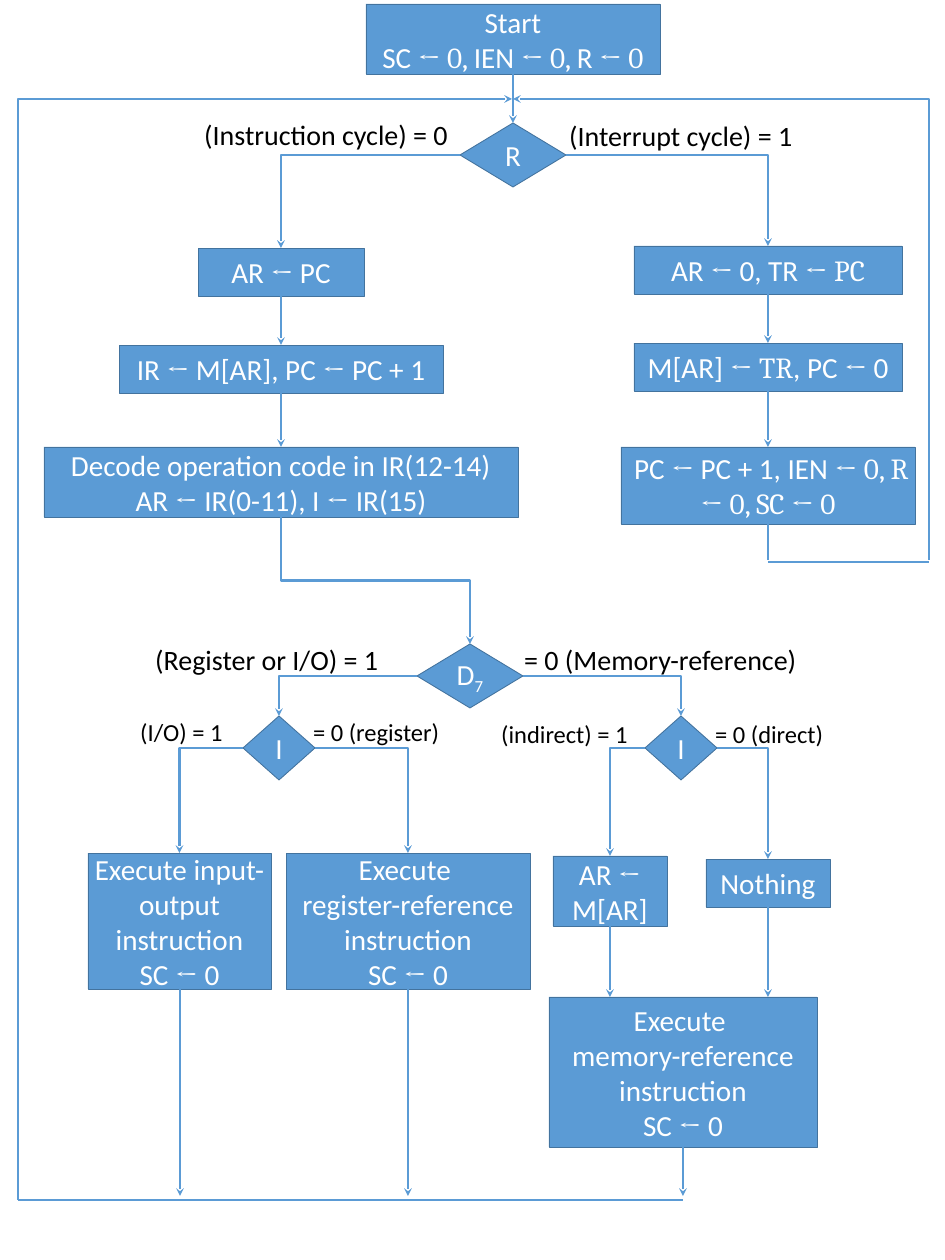
from lxml import etree
from pptx import Presentation
from pptx.dml.color import RGBColor
from pptx.enum.shapes import MSO_CONNECTOR, MSO_SHAPE
from pptx.enum.text import MSO_ANCHOR, MSO_AUTO_SIZE, PP_ALIGN
from pptx.oxml.ns import qn
from pptx.util import Emu, Pt

EMU_PER_PX = 914400 / 63
SLIDE_WIDTH, SLIDE_HEIGHT = 945, 1260

BLUE = RGBColor(0x5B, 0x9B, 0xD5)
DARK_BLUE = RGBColor(0x43, 0x73, 0x9E)
WHITE = RGBColor(0xFF, 0xFF, 0xFF)
BLACK = RGBColor(0x00, 0x00, 0x00)

BODY_FONT, SYMBOL_FONT = "Calibri", "Cambria"
NODE_SIZE = 33.3

BOX, DIAMOND = MSO_SHAPE.RECTANGLE, MSO_SHAPE.DIAMOND
STRAIGHT, ELBOW = MSO_CONNECTOR.STRAIGHT, MSO_CONNECTOR.ELBOW
CENTER, MIDDLE = PP_ALIGN.CENTER, MSO_ANCHOR.MIDDLE
GROW = MSO_AUTO_SIZE.SHAPE_TO_FIT_TEXT

# Connection sites of boxes and diamonds
TOP, LEFT, BOTTOM, RIGHT = range(4)

# Text between bars is set in the symbol font.
BOXES = {
    "start": (366, 4, 294, 70, ["Start", "SC |← 0, |IEN |← 0, |R |← 0"]),
    "address": (198, 248, 166, 48, ["AR |← |PC"]),
    "fetch": (119, 345, 324, 48, ["IR |← |M[AR], PC |←| PC + 1"]),
    "decode": (44, 447, 474, 70,
               ["Decode operation code in IR(12-14)",
                "AR |←| IR(0-11), I |←| IR(15)"]),
    "save": (634, 246, 268, 48, ["AR |← |0, TR |← PC"]),
    "store": (634, 343, 268, 48, ["M[AR] |← TR|, PC |← |0"]),
    "reset": (621, 447, 294, 77,
              [" PC |← |PC + 1, IEN |← 0, R ← 0, SC ← 0"]),
    "io": (88, 853, 183, 136,
           ["Execute input-output instruction", "SC |←| 0"]),
    "register": (286, 853, 244, 136,
                 ["Execute ", "register-reference instruction", "SC |←| 0"]),
    "indirect": (553, 856, 114, 70, ["AR |← |M[AR]"]),
    "direct": (706, 859, 124, 48, ["Nothing"]),
    "memory": (549, 997, 268, 150,
               ["Execute ", "memory-reference instruction", "SC |←| 0"]),
}
DIAMONDS = {
    "interrupt test": (460, 123, 106, 64, ["R"]),
    "opcode test": (417, 644, 106, 64, ["D"]),
    "io test": (243, 716, 72, 64, ["I"]),
    "indirect test": (645, 716, 72, 64, ["I"]),
}
DOWN_ARROWS = [("start", "interrupt test"), ("address", "fetch"),
               ("fetch", "decode"), ("save", "store"), ("store", "reset")]
BRANCHES = [("interrupt test", "address", "save"),
            ("opcode test", "io test", "indirect test"),
            ("io test", "io", "register"),
            ("indirect test", "indirect", "direct")]
LABELS = [
    (149, 639, 238, 40, 32, "(Register or I/O) = 1"),
    (518, 639, 288, 40, 32, "= 0 (Memory-reference)"),
    (134, 714, 96, 36, 28, "(I/O) = 1"),
    (307, 714, 140, 36, 28, "= 0 (register)"),
    (495, 716, 140, 36, 28, "(indirect) = 1"),
    (709, 716, 122, 36, 28, "= 0 (direct)"),
    (198, 114, 260, 40, 32, "(Instruction cycle) = 0"),
    (563, 115, 238, 40, 32, "(Interrupt cycle) = 1"),
]
DROPS = [(610, 926, 997), (768, 907, 997),
         (180, 989, 1196), (408, 989, 1196), (683, 1147, 1196)]

LOOP_TOP, LOOP_BOTTOM = 99, 1200
LOOP_LEFT, LOOP_RIGHT = 18, 929
RETURN_X, RETURN_Y = 768, 562
ENTRY_X = 513


def px(length):
    return Emu(round(length * EMU_PER_PX))


def style_paragraph(paragraph, size, color):
    paragraph.font.name = BODY_FONT
    paragraph.font.size = Pt(size)
    paragraph.font.color.rgb = color


def add_node(slide, kind, left, top, width, height, lines):
    shape = slide.shapes.add_shape(kind, px(left), px(top), px(width), px(height))
    shape.shadow.inherit = False
    shape.fill.solid()
    shape.fill.fore_color.rgb = BLUE
    shape.line.color.rgb = DARK_BLUE
    shape.line.width = Pt(1)
    frame = shape.text_frame
    frame.word_wrap = True
    frame.vertical_anchor = MIDDLE
    for index, line in enumerate(lines):
        paragraph = frame.add_paragraph() if index else frame.paragraphs[0]
        paragraph.alignment = CENTER
        style_paragraph(paragraph, NODE_SIZE, WHITE)
        for part, text in enumerate(line.split("|")):
            if text:
                run = paragraph.add_run()
                run.text = text
                if part % 2:
                    run.font.name = SYMBOL_FONT
    return shape


def add_subscript(shape, text):
    run = shape.text_frame.paragraphs[0].add_run()
    run.text = text
    run.font._element.set("baseline", "-25000")


def add_label(slide, left, top, width, height, size, text):
    box = slide.shapes.add_textbox(px(left), px(top), px(width), px(height))
    box.text_frame.word_wrap = False
    box.text_frame.auto_size = GROW
    paragraph = box.text_frame.paragraphs[0]
    paragraph.text = text
    style_paragraph(paragraph, size, BLACK)


def add_line(slide, kind, x1, y1, x2, y2, arrow=None):
    """Draw a connector; arrow is "headEnd" (at the start), "tailEnd" or None."""
    line = slide.shapes.add_connector(kind, px(x1), px(y1), px(x2), px(y2))
    line.line.color.rgb = BLUE
    line.line.width = Pt(3)
    if arrow:
        etree.SubElement(line.line._get_or_add_ln(), qn("a:" + arrow), type="stealth")
    etree.SubElement(line._element.spPr, qn("a:effectLst"))
    return line


def add_corner(slide, x1, y1, x2, y2, arrow):
    """Draw a connector that runs sideways first, then down."""
    line = add_line(slide, ELBOW, x1, y1, x2, y2, arrow)
    line._element.spPr.find(qn("a:prstGeom")).set("prst", "bentConnector2")
    return line


def add_step(slide, x1, y1, x2, y2):
    """Draw an arrow that runs down, sideways and down again."""
    center_x, center_y = (x1 + x2) / 2, (y1 + y2) / 2
    half_width, half_height = (y2 - y1) / 2, (x2 - x1) / 2
    line = add_line(slide, ELBOW, center_x + half_width, center_y - half_height,
                    center_x - half_width, center_y + half_height, "tailEnd")
    line._element.spPr.find(qn("a:xfrm")).set("rot", str(270 * 60000))


def glue(line, source, source_site, target, target_site):
    line.begin_connect(source, source_site)
    line.end_connect(target, target_site)


def add_loops(slide):
    add_line(slide, STRAIGHT, 683, LOOP_BOTTOM, LOOP_LEFT, LOOP_BOTTOM)
    add_corner(slide, ENTRY_X - 1, LOOP_TOP, LOOP_LEFT, LOOP_BOTTOM, "headEnd")
    add_line(slide, STRAIGHT, RETURN_X, 524, RETURN_X, RETURN_Y - 2)
    add_line(slide, STRAIGHT, RETURN_X, RETURN_Y, LOOP_RIGHT, RETURN_Y)
    add_corner(slide, ENTRY_X, LOOP_TOP, LOOP_RIGHT, RETURN_Y - 2, "headEnd")


def main():
    presentation = Presentation()
    presentation.slide_width = px(SLIDE_WIDTH)
    presentation.slide_height = px(SLIDE_HEIGHT)
    slide = presentation.slides.add_slide(presentation.slide_layouts[6])

    nodes = {}
    for kind, group in ((BOX, BOXES), (DIAMOND, DIAMONDS)):
        for name, details in group.items():
            nodes[name] = add_node(slide, kind, *details)
    add_subscript(nodes["opcode test"], "7")

    for source, target in DOWN_ARROWS:
        line = add_line(slide, STRAIGHT, 0, 0, 0, 0, "tailEnd")
        glue(line, nodes[source], BOTTOM, nodes[target], TOP)
    for test, *targets in BRANCHES:
        for side, target in zip((LEFT, RIGHT), targets):
            line = add_corner(slide, 0, 0, 0, 0, "tailEnd")
            glue(line, nodes[test], side, nodes[target], TOP)
    for x, top, bottom in DROPS:
        add_line(slide, STRAIGHT, x, top, x, bottom, "tailEnd")
    add_step(slide, 281, 517, 470, 644)
    add_loops(slide)

    for label in LABELS:
        add_label(slide, *label)
    presentation.save("out.pptx")


if __name__ == "__main__":
    main()
